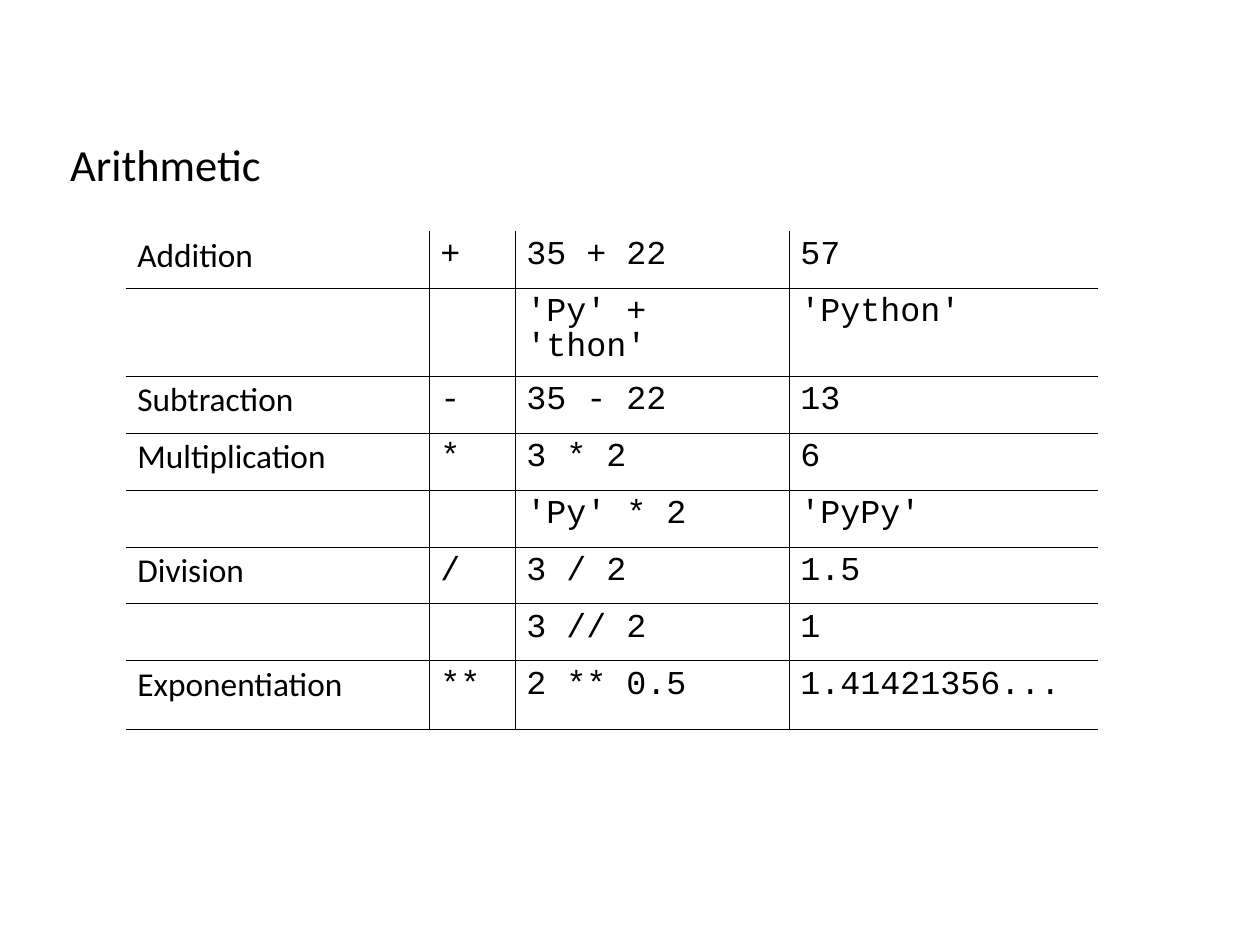
from lxml import etree
from pptx import Presentation, util as u
from pptx.dml.color import RGBColor
from pptx.enum import text
from pptx.oxml.ns import qn

TITLE = "Arithmetic"
OPERATIONS = [
    ("Addition", "+", "35 + 22", "57"),
    ("", "", "'Py' + 'thon'", "'Python'"),
    ("Subtraction", "-", "35 - 22", "13"),
    ("Multiplication", "*", "3 * 2", "6"),
    ("", "", "'Py' * 2", "'PyPy'"),
    ("Division", "/", "3 / 2", "1.5"),
    ("", "", "3 // 2", "1"),
    ("Exponentiation", "**", "2 ** 0.5", "1.41421356..."),
]
COLORS = {"ink": "000000"}
NAME_FONT, CODE_FONT = "Calibri", "Courier New"
COL_WIDTHS = [303, 86, 274, 309]
ROW_HEIGHTS = [57, 88, 57, 57, 57, 57, 57, 69]
TABLE_LEFT, TABLE_TOP = 126, 231


def px(n):
    return u.Emu(n * 8000)


def style(p, font, size):
    p.font.name = font
    p.font.size = u.Pt(size)
    p.font.color.rgb = RGBColor.from_string(COLORS["ink"])


def set_borders(cell, visible):
    """Draw a thin line on each visible side (L, R, T, B) and none on the others."""
    tcPr = cell._tc.get_or_add_tcPr()
    for side in "LRTB":
        ln = etree.SubElement(tcPr, qn(f"a:ln{side}"), w=str(u.Pt(0.45)))
        if side in visible:
            fill = etree.SubElement(ln, qn("a:solidFill"))
            etree.SubElement(fill, qn("a:srgbClr"), val=COLORS["ink"])
        else:
            etree.SubElement(ln, qn("a:noFill"))


prs = Presentation()
prs.slide_width, prs.slide_height = px(1260), px(945)
s = prs.slides.add_slide(prs.slide_layouts[6])

tf = s.shapes.add_textbox(px(59), px(105), px(327), px(91)).text_frame
tf.word_wrap = False
tf.auto_size = text.MSO_AUTO_SIZE.SHAPE_TO_FIT_TEXT
p = tf.paragraphs[0]
p.text = TITLE
p.line_spacing = 1.5
style(p, NAME_FONT, 28)

rows, cols = len(OPERATIONS), len(COL_WIDTHS)
table = s.shapes.add_table(rows, cols, px(TABLE_LEFT), px(TABLE_TOP),
                           px(sum(COL_WIDTHS)), px(sum(ROW_HEIGHTS))).table
table.first_row = table.horz_banding = False
for column, width in zip(table.columns, COL_WIDTHS):
    column.width = px(width)

for i, (operation, height) in enumerate(zip(OPERATIONS, ROW_HEIGHTS)):
    table.rows[i].height = px(height)
    for j, value in enumerate(operation):
        cell = table.cell(i, j)
        visible = "B" + "T" * (i > 0) + "L" * (j > 0) + "R" * (j < cols - 1)
        set_borders(cell, visible)
        cell.fill.background()
        if value:
            p = cell.text_frame.paragraphs[0]
            p.text = value
            p.line_spacing = 0.93
            p.space_after = u.Pt(14.3)
            style(p, CODE_FONT if j else NAME_FONT, 21)

prs.save("out.pptx")
